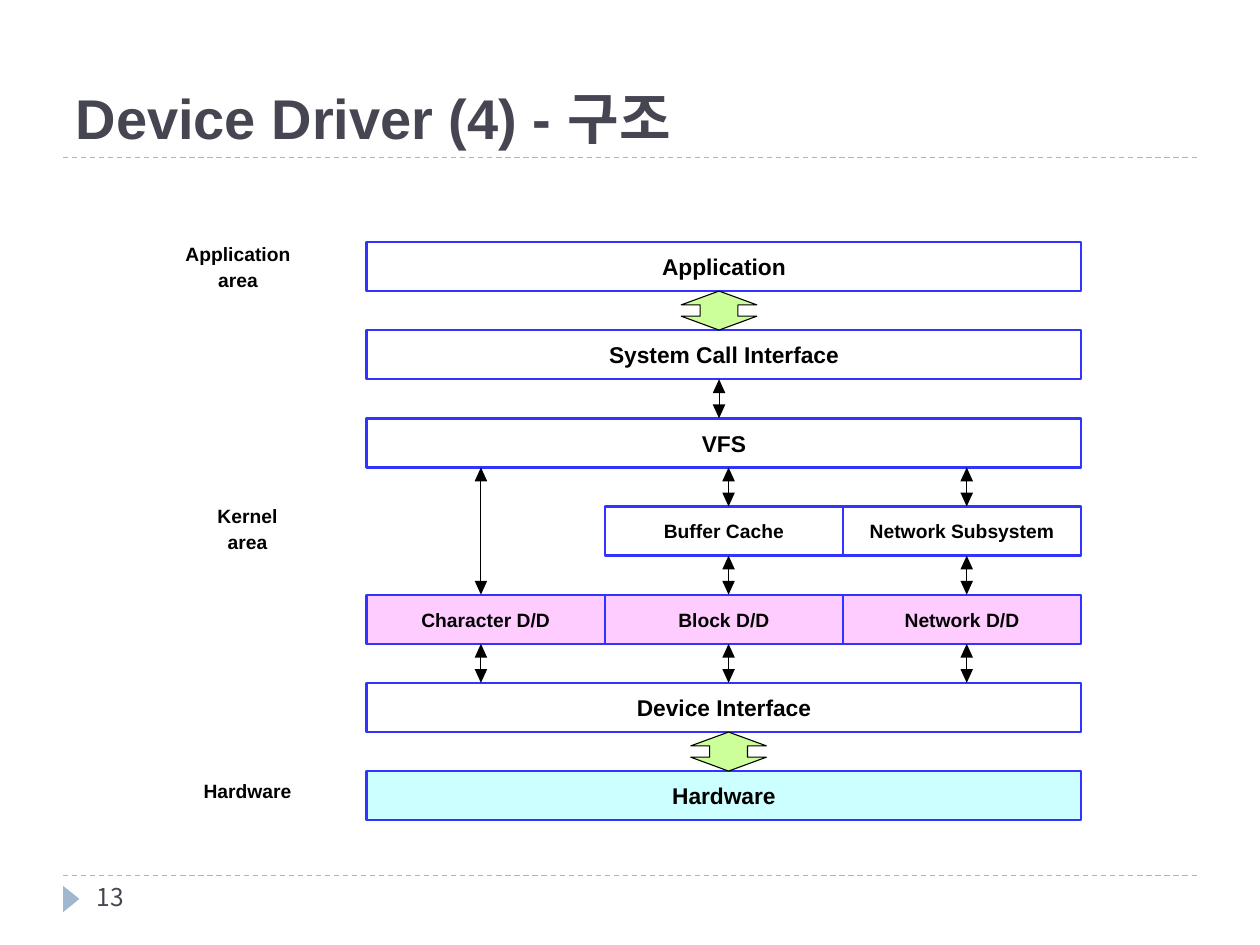
from lxml.etree import SubElement
from pptx import Presentation
from pptx.dml.color import RGBColor
from pptx.enum.dml import MSO_LINE
from pptx.enum.shapes import MSO_CONNECTOR, MSO_SHAPE
from pptx.enum.text import MSO_ANCHOR as Anchor, PP_ALIGN as Align
from pptx.oxml.ns import qn
from pptx.util import Inches, Pt

COLORS = {
    "ink": "000000", "heading": "464653", "rule": "9FB8CD", "border": "3333FF",
    "plain": "FFFFFF", "driver": "FFCCFF", "hardware": "CCFFFF", "block": "CCFF99",
}
LATIN, KOREAN = "Arial", "Noto Sans CJK KR"
WIDTH, HEIGHT = 10, 7.5
LEFT, TOP = 2.91, 1.92
COLUMN, ROW, BOX = 1.89, 0.70, 0.39
THIN = 0.62

# row, first column, columns spanned, text, fill
LAYERS = [
    (0, 0, 3, "Application", "plain"),
    (1, 0, 3, "System Call Interface", "plain"),
    (2, 0, 3, "VFS", "plain"),
    (3, 2, 1, "Network Subsystem", "plain"),
    (3, 1, 1, "Buffer Cache", "plain"),
    (4, 2, 1, "Network D/D", "driver"),
    (4, 1, 1, "Block D/D", "driver"),
    (4, 0, 1, "Character D/D", "driver"),
    (5, 0, 3, "Device Interface", "plain"),
    (6, 0, 3, "Hardware", "hardware"),
]
# column position, row above, row below
ARROWS = [
    (0.48, 2, 4), (1.48, 1, 2), (1.52, 2, 3), (2.52, 2, 3), (1.52, 3, 4),
    (2.52, 3, 4), (0.48, 4, 5), (1.52, 4, 5), (2.52, 4, 5),
]
BLOCK_ARROWS = [(1.48, 0), (1.52, 5)]
# centre column, row position, lines
AREAS = [
    (-0.54, 0, ["Application", "area"]),
    (-0.5, 2.97, ["Kernel", "area"]),
    (-0.5, 6.09, ["Hardware"]),
]


def color(name):
    return RGBColor.from_string(COLORS[name])


def grid_x(column):
    return LEFT + column * COLUMN


def grid_y(row):
    return TOP + row * ROW


class Diagram:
    """Style and current slide; places elements on the layer grid or by percent."""

    def __init__(self, slide):
        self.slide = slide
        self.shapes = slide.shapes

    def add_run(self, paragraph, text, size, name="ink", font=LATIN, bold=True):
        run = paragraph.add_run()
        run.text = text
        run.font.size, run.font.bold, run.font.name = Pt(size), bold, font
        run.font.color.rgb = color(name)
        SubElement(run.font._element, qn("a:ea")).set("typeface", KOREAN)

    def paint(self, shape, fill, border=None, width=THIN):
        shape.shadow.inherit = False
        shape.fill.solid()
        shape.fill.fore_color.rgb = color(fill)
        if border:
            shape.line.color.rgb = color(border)
            shape.line.width = Pt(width)
        else:
            shape.line.fill.background()

    def title(self, text):
        shape = self.shapes.title
        shape.left, shape.top = Inches(0.05 * WIDTH), Inches(0.17)
        shape.width, shape.height = Inches(0.9 * WIDTH), Inches(1.08)
        shape.text_frame.vertical_anchor = Anchor.BOTTOM
        paragraph = shape.text_frame.paragraphs[0]
        paragraph.alignment = Align.LEFT
        self.add_run(paragraph, text, 32, "heading")

    def line(self, x1, y1, x2, y2, name="ink", width=THIN):
        connector = self.shapes.add_connector(
            MSO_CONNECTOR.STRAIGHT, *map(Inches, (x1, y1, x2, y2)))
        connector.line.color.rgb = color(name)
        connector.line.width = Pt(width)
        SubElement(connector._element.spPr, qn("a:effectLst"))
        return connector

    def rule(self, percent):
        y = percent / 100 * HEIGHT
        connector = self.line(0.05 * WIDTH, y, 0.95 * WIDTH, y, "rule", 0.75)
        connector.line.dash_style = MSO_LINE.DASH

    def text(self, x, y, width, height, lines, size, align=Align.CENTER,
             margins=(0, 0), **style):
        frame = self.shapes.add_textbox(
            *map(Inches, (x, y, width, height))).text_frame
        frame.word_wrap = True
        frame.margin_left = frame.margin_right = Inches(margins[0])
        frame.margin_top = frame.margin_bottom = Inches(margins[1])
        for index, line in enumerate(lines):
            paragraph = frame.add_paragraph() if index else frame.paragraphs[0]
            paragraph.alignment = align
            paragraph.space_after = Pt(1.75)
            self.add_run(paragraph, line, size, **style)

    def page_number(self, number):
        marker = self.shapes.add_shape(
            MSO_SHAPE.ISOSCELES_TRIANGLE, *map(Inches, (0.46, 7.07, 0.21, 0.13)))
        marker.rotation = 90
        self.paint(marker, "rule")
        self.text(0.67, 6.95, 2.17, 0.4, [number], 14, Align.LEFT, (0.1, 0.05),
                  name="heading", font=KOREAN, bold=False)

    def layer(self, row, column, span, label, fill):
        box = self.shapes.add_shape(
            MSO_SHAPE.RECTANGLE, Inches(grid_x(column)), Inches(grid_y(row)),
            Inches(span * COLUMN), Inches(BOX))
        self.paint(box, fill, "border", 1.39)
        frame = box.text_frame
        frame.margin_top = frame.margin_bottom = 0
        frame.vertical_anchor = Anchor.MIDDLE
        paragraph = frame.paragraphs[0]
        paragraph.alignment = Align.CENTER
        self.add_run(paragraph, label, 13 if span == 3 else 11)

    def polygon(self, points, fill, border=None):
        points = [(Inches(x), Inches(y)) for x, y in points]
        builder = self.shapes.build_freeform(*points[0])
        builder.add_line_segments(points[1:], close=True)
        self.paint(builder.convert_to_shape(), fill, border)

    def arrow(self, column, above, below):
        """Thin double arrow from the foot of one row to the head of another."""
        x, top, bottom = grid_x(column), grid_y(above) + BOX, grid_y(below)
        half, head = 0.05, 0.11
        self.line(x, top + 0.1, x, bottom - 0.1)
        for tip, base in ((top, top + head), (bottom, bottom - head)):
            self.polygon([(x - half, base), (x, tip), (x + half, base)], "ink")

    def block_arrow(self, column, row):
        """Wide double arrow filling the gap below a row."""
        x, top, bottom = grid_x(column), grid_y(row) + BOX, grid_y(row + 1)
        wing, stem, head = 0.3, 0.15, 0.11
        right = [(0, top), (wing, top + head), (stem, top + head),
                 (stem, bottom - head), (wing, bottom - head), (0, bottom)]
        left = [(-dx, y) for dx, y in right[-2:0:-1]]
        self.polygon([(x + dx, y) for dx, y in right + left], "block", "ink")

    def area(self, column, row, lines):
        width = 1.2
        self.text(grid_x(column) - width / 2, grid_y(row), width,
                  0.2 * len(lines), lines, 11)


def main():
    presentation = Presentation()
    presentation.slide_width, presentation.slide_height = Inches(WIDTH), Inches(HEIGHT)
    diagram = Diagram(presentation.slides.add_slide(presentation.slide_layouts[5]))
    diagram.rule(92.67)
    diagram.rule(16.67)
    diagram.title("Device Driver (4) - 구조")
    diagram.page_number("13")
    for layer in LAYERS:
        diagram.layer(*layer)
    for arrow in ARROWS:
        diagram.arrow(*arrow)
    for block_arrow in BLOCK_ARROWS:
        diagram.block_arrow(*block_arrow)
    for area in AREAS:
        diagram.area(*area)
    presentation.save("out.pptx")


if __name__ == "__main__":
    main()
